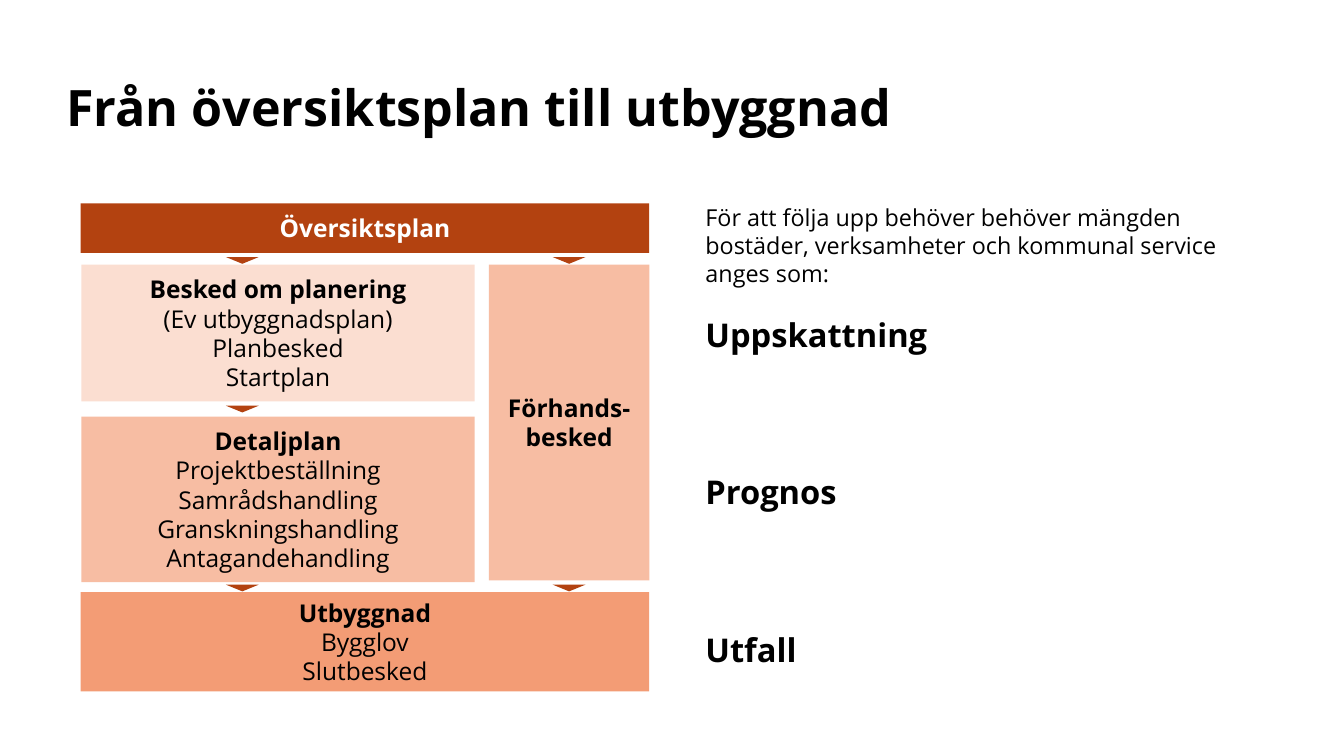
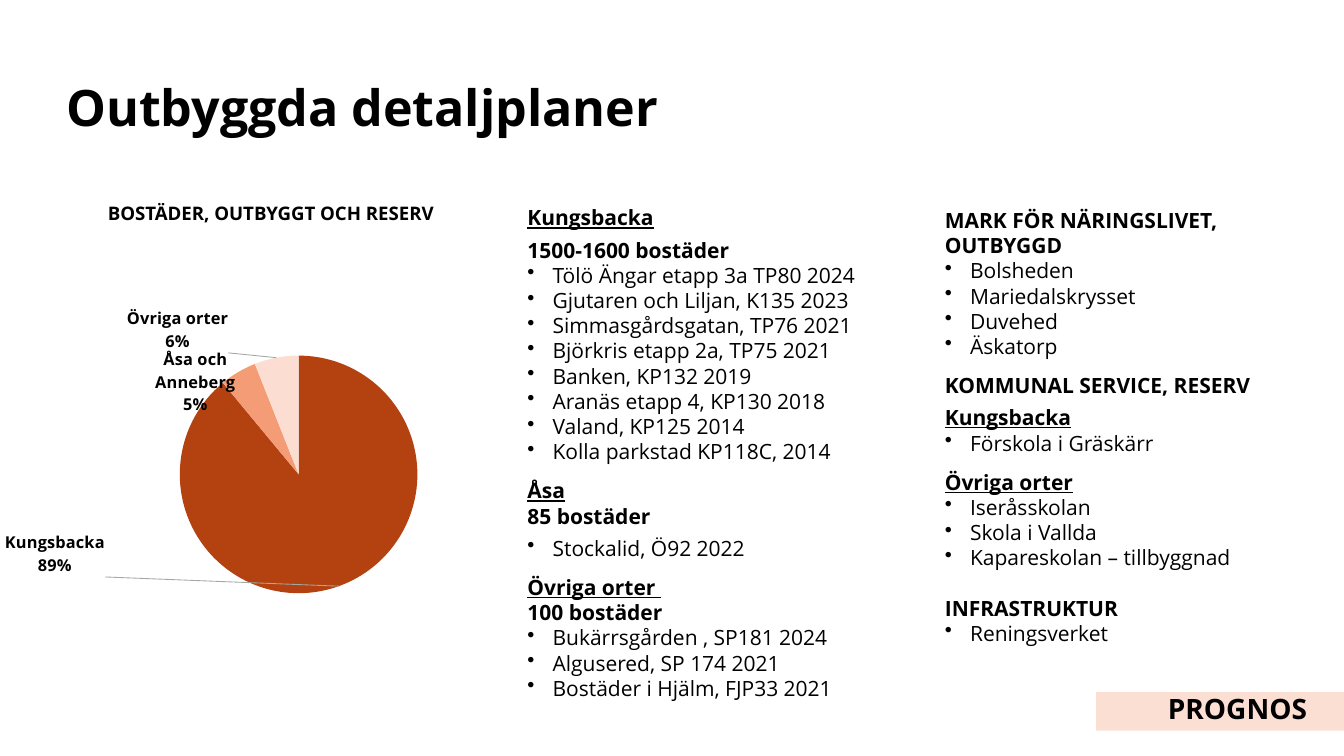
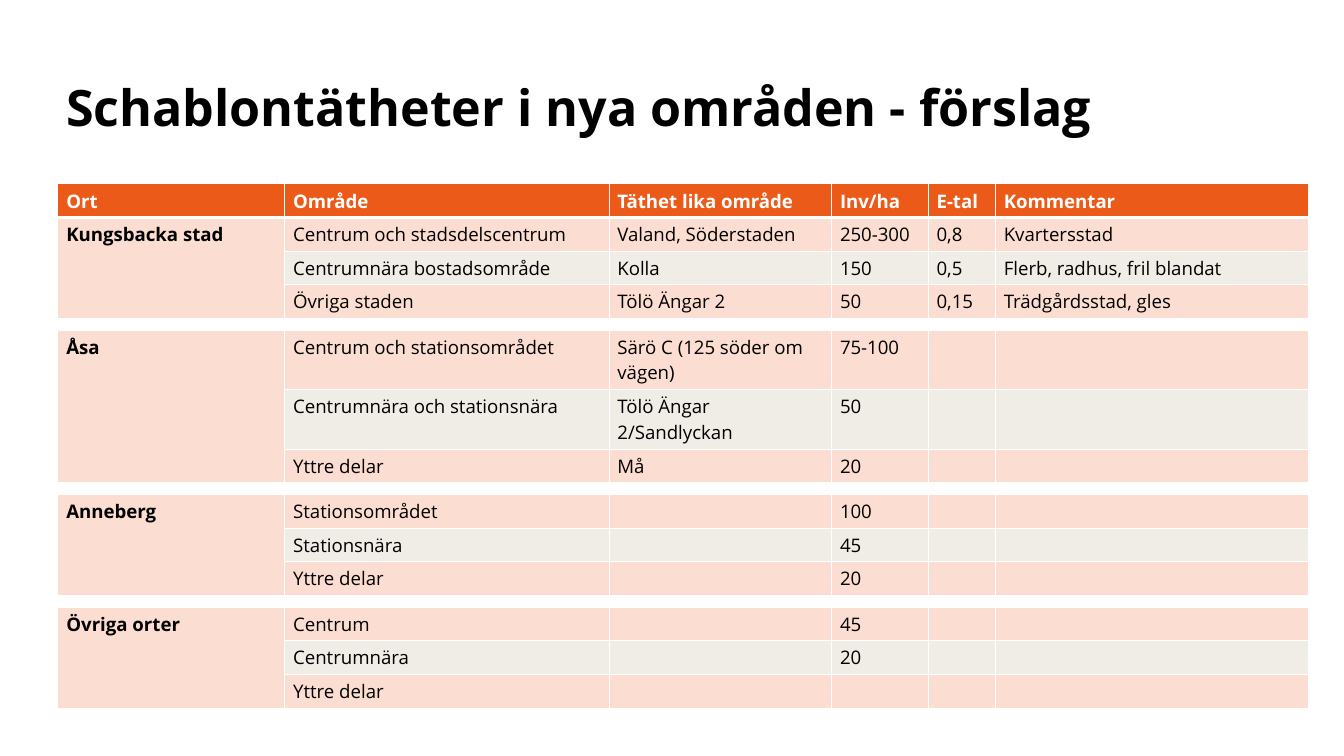
from lxml import etree
from pptx import Presentation
from pptx.chart.data import CategoryChartData
from pptx.dml.color import RGBColor
from pptx.enum.chart import XL_CHART_TYPE
from pptx.enum.shapes import MSO_SHAPE
from pptx.enum.text import MSO_ANCHOR, PP_ALIGN
from pptx.oxml import parse_xml
from pptx.oxml.ns import nsdecls, qn
from pptx.util import Inches, Pt

LEFT, CENTER, RIGHT = PP_ALIGN.LEFT, PP_ALIGN.CENTER, PP_ALIGN.RIGHT
TOP, MIDDLE = MSO_ANCHOR.TOP, MSO_ANCHOR.MIDDLE
RECT, TRIANGLE = MSO_SHAPE.RECTANGLE, MSO_SHAPE.ISOSCELES_TRIANGLE
PIE = XL_CHART_TYPE.PIE

FONT = "Open Sans"
COLORS = {
    "black": "000000", "white": "FFFFFF", "rust": "B34210", "orange": "EB5A19",
    "coral": "F39C75", "peach": "F7BDA3", "blush": "FBDED1", "sand": "F0ECE6",
    "gray": "A6A6A6",
}
C = {name: RGBColor.from_string(value) for name, value in COLORS.items()}


def add_para(tf, text, size, bold=False, color="black", align=LEFT, before=0,
             after=0, spacing=None, bullet=False, underline=False):
    p = tf.paragraphs[0]
    if p.runs:
        p = tf.add_paragraph()
        p.space_before = Pt(before)
    p.space_after = Pt(after)
    p.line_spacing = spacing
    p.alignment = align
    if bullet:
        pPr = p._p.get_or_add_pPr()
        pPr.set("marL", str(Inches(0.3)))
        pPr.set("indent", str(-Inches(0.3)))
        etree.SubElement(pPr, qn("a:buChar"), char="•")
    r = p.add_run()
    r.text = text
    r.font.name = FONT
    r.font.size = Pt(size)
    r.font.bold = bold
    r.font.underline = underline
    r.font.color.rgb = C[color]


def add_box(s, at, fill=None, anchor=TOP, kind=RECT):
    at = [Inches(v) for v in at]
    if fill:
        sp = s.shapes.add_shape(kind, *at)
        sp.shadow.inherit = False
        sp.fill.solid()
        sp.fill.fore_color.rgb = C[fill]
        sp.line.fill.background()
    else:
        sp = s.shapes.add_textbox(*at)
    sp.text_frame.word_wrap = True
    sp.text_frame.vertical_anchor = anchor
    return sp


prs = Presentation()
prs.slide_width, prs.slide_height = Inches(16), Inches(9)

# Slides and their titles
slides = []
for title in ["Från översiktsplan till utbyggnad", "Outbyggda detaljplaner",
              "Schablontätheter i nya områden - förslag"]:
    s = prs.slides.add_slide(prs.slide_layouts[6])
    sp = add_box(s, (0.69, 0.61, 13.08, 1.41), anchor=MIDDLE)
    add_para(sp.text_frame, title, 43, bold=True, spacing=0.9)
    slides.append(s)
plan_slide, forecast_slide, density_slide = slides

# Slide 1: planning steps, heading in bold and the rest plain
steps = [
    ((0.96, 2.42, 6.77, 0.59), "rust", "white", ["Översiktsplan"]),
    ((0.97, 3.15, 4.68, 1.63), "blush", "black",
     ["Besked om planering", "(Ev utbyggnadsplan)", "Planbesked", "Startplan"]),
    ((0.97, 4.96, 4.68, 1.97), "peach", "black",
     ["Detaljplan", "Projektbeställning", "Samrådshandling",
      "Granskningshandling", "Antagandehandling"]),
    ((0.96, 7.05, 6.77, 1.18), "coral", "black",
     ["Utbyggnad", "Bygglov", "Slutbesked"]),
    ((5.82, 3.15, 1.91, 3.76), "peach", "black", ["Förhands-besked"]),
]
for at, fill, color, lines in steps:
    tf = add_box(plan_slide, at, fill, MIDDLE).text_frame
    for i, line in enumerate(lines):
        add_para(tf, line, 21, bold=i == 0, color=color, align=CENTER)

# Downward markers between the steps
for x, y in [(2.69, 3.06), (6.58, 3.06), (2.69, 4.83), (2.69, 6.96), (6.58, 6.96)]:
    add_box(plan_slide, (x, y, 0.39, 0.08), "rust", kind=TRIANGLE).rotation = 180

# Follow-up levels
tf = add_box(plan_slide, (8.3, 2.37, 7.03, 5.69)).text_frame
add_para(tf, "För att följa upp behöver behöver mängden bostäder, verksamheter "
             "och kommunal service anges som:", 20)
for level, gap in [("Uppskattning", 24), ("Prognos", 101), ("Utfall", 101)]:
    add_para(tf, level, 28, bold=True, before=gap)

# Slide 2: pie chart
s = forecast_slide
sp = add_box(s, (-0.59, 2.36, 7.63, 0.37))
add_para(sp.text_frame, "BOSTÄDER, OUTBYGGT OCH RESERV", 16, bold=True, align=CENTER)

data = CategoryChartData()
data.categories = ["Kungsbacka", "Åsa och Anneberg", "Övriga orter"]
data.add_series("Series 1", (89, 5, 6))
chart = s.shapes.add_chart(PIE, Inches(-0.4), Inches(3.35), Inches(7.99),
                           Inches(4.42), data).chart
chart.has_title = chart.has_legend = False
chart.font.name, chart.font.size = FONT, Pt(10)
chart.font.color.rgb = C["black"]
plot = chart.plots[0]
plot.vary_by_categories = True
for i, name in enumerate(["rust", "coral", "blush"]):
    fmt = plot.series[0].points[i].format
    fmt.fill.solid()
    fmt.fill.fore_color.rgb = C[name]
    fmt.line.fill.background()

# Pie area, then moved labels with leader lines
plot_area = chart._chartSpace.chart.plotArea
for old in plot_area.findall(qn("c:layout")):
    plot_area.remove(old)
plot_area.insert(0, parse_xml(
    f'<c:layout {nsdecls("c")}><c:manualLayout><c:layoutTarget val="inner"/>'
    '<c:xMode val="edge"/><c:yMode val="edge"/><c:x val="0.31"/><c:y val="0.2"/>'
    '<c:w val="0.37"/><c:h val="0.64"/></c:manualLayout></c:layout>'))
label_style = (
    '<c:numFmt formatCode="0%" sourceLinked="0"/><c:spPr><a:noFill/></c:spPr>'
    '<c:txPr><a:bodyPr/><a:p><a:pPr><a:defRPr sz="1400" b="1"><a:solidFill>'
    f'<a:srgbClr val="{COLORS["black"]}"/></a:solidFill><a:latin typeface="{FONT}"/>'
    '</a:defRPr></a:pPr><a:endParaRPr lang="sv-SE"/></a:p></c:txPr>'
    '<c:dLblPos val="outEnd"/><c:showLegendKey val="0"/><c:showVal val="0"/>'
    '<c:showCatName val="1"/><c:showSerName val="0"/><c:showPercent val="1"/>'
    '<c:showBubbleSize val="0"/><c:separator>\n</c:separator>')
moved = "".join(
    f'<c:dLbl><c:idx val="{i}"/><c:layout><c:manualLayout><c:x val="{x}"/>'
    f'<c:y val="{y}"/></c:manualLayout></c:layout>{label_style}</c:dLbl>'
    for i, (x, y) in enumerate([(-0.5, -0.16), (0, 0.13), (-0.07, 0)]))
labels = parse_xml(
    f'<c:dLbls {nsdecls("c", "a")}>{moved}{label_style}<c:showLeaderLines val="1"/>'
    f'<c:leaderLines><c:spPr><a:ln w="{Pt(0.75)}"><a:solidFill><a:srgbClr '
    f'val="{COLORS["gray"]}"/></a:solidFill></a:ln></c:spPr></c:leaderLines></c:dLbls>')
plot.series[0]._element.find(qn("c:cat")).addprevious(labels)

# Lists: place, kind of line, space before, text
HEAD, PLACE, ITEM = {"bold": True}, {"bold": True, "underline": True}, {"bullet": True}
columns = [
    ((6.18, 2.39, 4.42, 5.91), [
        (PLACE, 0, ["Kungsbacka"]),
        (HEAD, 6, ["1500-1600 bostäder"]),
        (ITEM, 0, ["Tölö Ängar etapp 3a TP80 2024", "Gjutaren och Liljan, K135 2023",
                   "Simmasgårdsgatan, TP76 2021", "Björkris etapp 2a, TP75 2021",
                   "Banken, KP132 2019", "Aranäs etapp 4, KP130 2018",
                   "Valand, KP125 2014", "Kolla parkstad KP118C, 2014"]),
        (PLACE, 12, ["Åsa"]),
        (HEAD, 0, ["85 bostäder"]),
        (ITEM, 6, ["Stockalid, Ö92 2022"]),
        (PLACE, 12, ["Övriga orter "]),
        (HEAD, 0, ["100 bostäder"]),
        (ITEM, 0, ["Bukärrsgården , SP181 2024", "Algusered, SP 174 2021",
                   "Bostäder i Hjälm, FJP33 2021"]),
    ]),
    ((11.15, 2.42, 4.42, 5.91), [
        (HEAD, 0, ["MARK FÖR NÄRINGSLIVET, OUTBYGGD"]),
        (ITEM, 0, ["Bolsheden", "Mariedalskrysset", "Duvehed", "Äskatorp"]),
        (HEAD, 12, ["KOMMUNAL SERVICE, RESERV"]),
        (PLACE, 6, ["Kungsbacka"]),
        (ITEM, 0, ["Förskola i Gräskärr"]),
        (PLACE, 12, ["Övriga orter"]),
        (ITEM, 0, ["Iseråsskolan", "Skola i Vallda", "Kapareskolan – tillbyggnad"]),
        (HEAD, 21.6, ["INFRASTRUKTUR"]),
        (ITEM, 0, ["Reningsverket"]),
    ]),
]
for at, groups in columns:
    tf = add_box(s, at).text_frame
    for style, gap, lines in groups:
        for line in lines:
            add_para(tf, line, 18, before=gap, **style)

# Corner tag
sp = add_box(s, (13.05, 8.24, 2.95, 0.46), "peach", MIDDLE)
tag_color = sp._element.spPr.find(qn("a:solidFill"))[0]
etree.SubElement(tag_color, qn("a:alpha"), val="47000")
sp.text_frame.margin_right = Inches(0.44)
add_para(sp.text_frame, "PROGNOS", 24, bold=True, align=RIGHT, spacing=0.8)

# Slide 3: density table, with a thin empty row before each later town
header = ["Ort", "Område", "Täthet lika område", "Inv/ha", "E-tal", "Kommentar"]
towns = [
    ("Kungsbacka stad", [
        ["Centrum och stadsdelscentrum", "Valand, Söderstaden", "250-300", "0,8",
         "Kvartersstad"],
        ["Centrumnära bostadsområde", "Kolla", "150", "0,5",
         "Flerb, radhus, fril blandat"],
        ["Övriga staden", "Tölö Ängar 2", "50", "0,15", "Trädgårdsstad, gles"]]),
    ("Åsa", [
        ["Centrum och stationsområdet", "Särö C (125 söder om vägen)", "75-100", "", ""],
        ["Centrumnära och stationsnära", "Tölö Ängar 2/Sandlyckan", "50", "", ""],
        ["Yttre delar", "Må", "20", "", ""]]),
    ("Anneberg", [
        ["Stationsområdet", "", "100", "", ""],
        ["Stationsnära", "", "45", "", ""],
        ["Yttre delar", "", "20", "", ""]]),
    ("Övriga orter", [
        ["Centrum", "", "45", "", ""],
        ["Centrumnära", "", "20", "", ""],
        ["Yttre delar", "", "", "", ""]]),
]
ROW, TALL_ROW, GAP_ROW = 0.4, 0.71, 0.14
rows = [(header, ROW, "orange", "orange")]
town_rows = []
for town, areas in towns:
    if town_rows:
        rows.append(([""] * 6, GAP_ROW, "white", "white"))
    town_rows.append(len(rows))
    for i, area in enumerate(areas):
        height = TALL_ROW if len(area[1]) > 20 else ROW
        rows.append(([town if i == 0 else ""] + area, height, "blush",
                     "sand" if i == 1 else "blush"))

widths = [2.7, 3.86, 2.65, 1.15, 0.8, 3.73]
table = density_slide.shapes.add_table(
    len(rows), len(widths), Inches(0.69), Inches(2.19), Inches(sum(widths)),
    Inches(sum(row[1] for row in rows))).table
for column, width in zip(table.columns, widths):
    column.width = Inches(width)
for i, (texts, height, town_fill, area_fill) in enumerate(rows):
    table.rows[i].height = Inches(height)
    for j, text in enumerate(texts):
        cell = table.cell(i, j)
        cell.fill.solid()
        cell.fill.fore_color.rgb = C[town_fill if j == 0 else area_fill]
        if text:
            add_para(cell.text_frame, text, 16, bold=i == 0 or j == 0,
                     color="black" if i else "white")
        else:
            etree.SubElement(cell.text_frame.paragraphs[0]._p, qn("a:endParaRPr"),
                             sz="200" if height == GAP_ROW else "1600")
        tcPr = cell._tc.get_or_add_tcPr()
        for k, side in enumerate("LRTB"):
            thick = (i == 0 and side == "B") or (i == 1 and side == "T")
            tcPr.insert(k, parse_xml(
                f'<a:ln{side} {nsdecls("a")} w="{Pt(3 if thick else 1)}"><a:solidFill>'
                f'<a:srgbClr val="{COLORS["white"]}"/></a:solidFill></a:ln{side}>'))
for i in town_rows:
    table.cell(i, 0).merge(table.cell(i + 2, 0))

prs.save("out.pptx")
